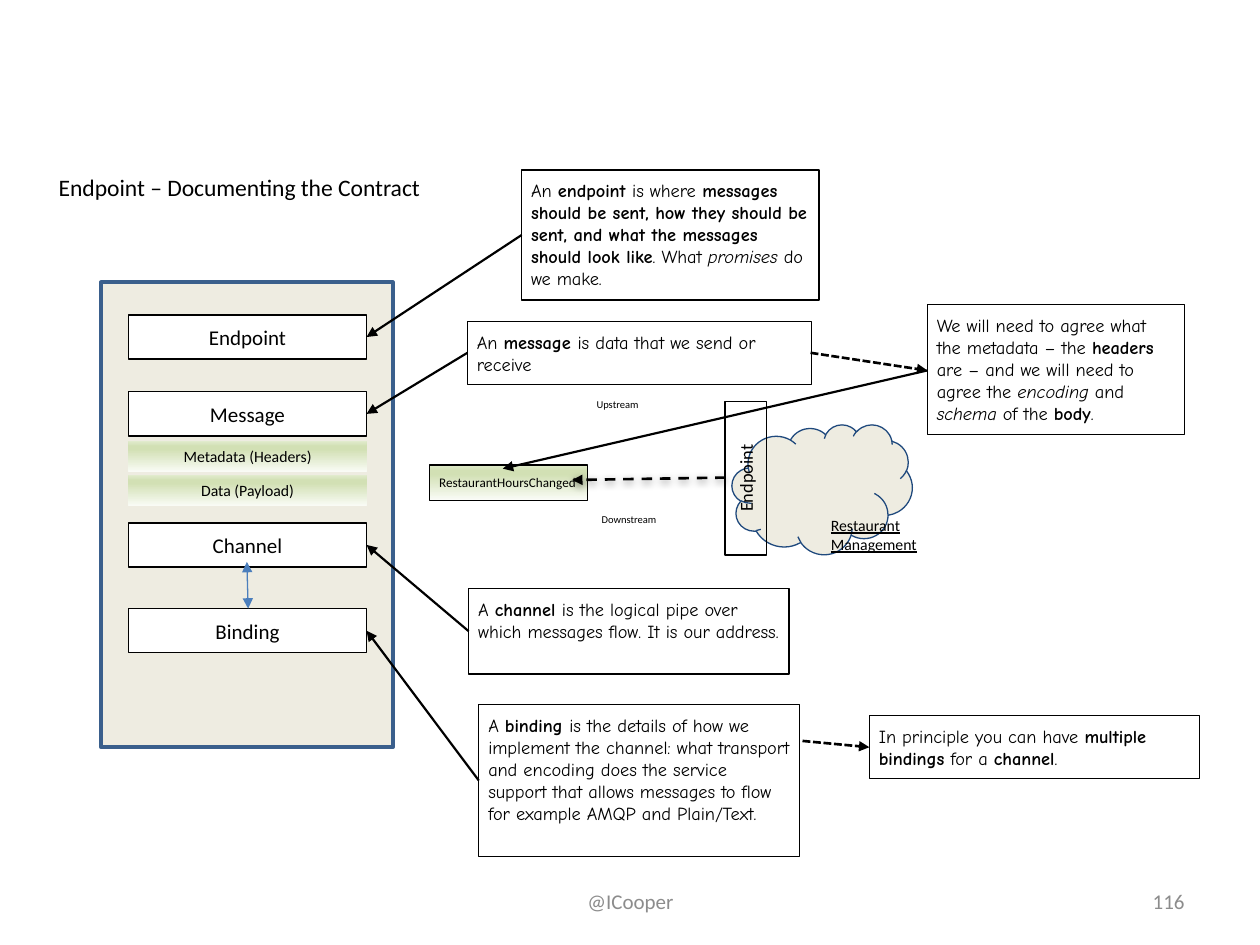
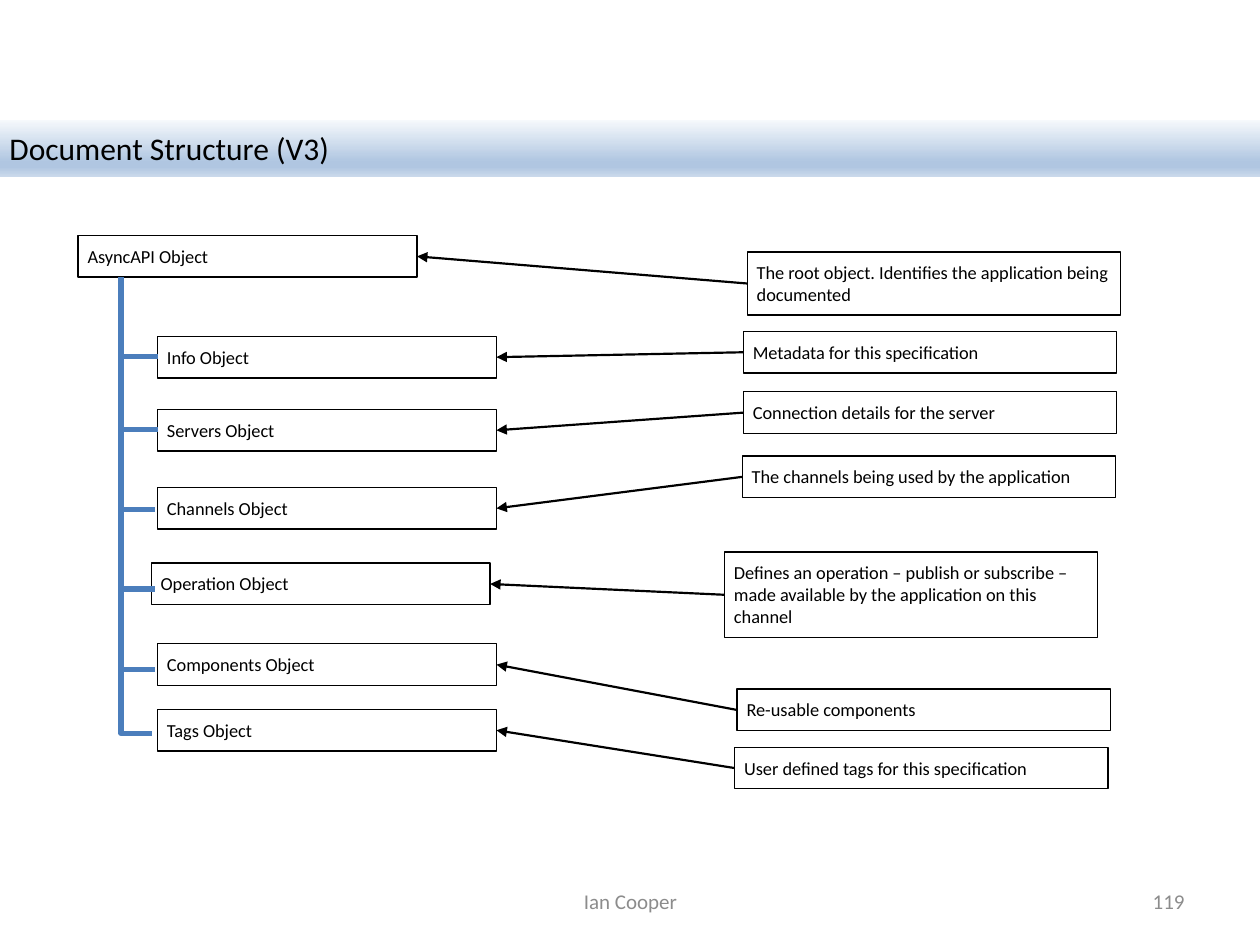
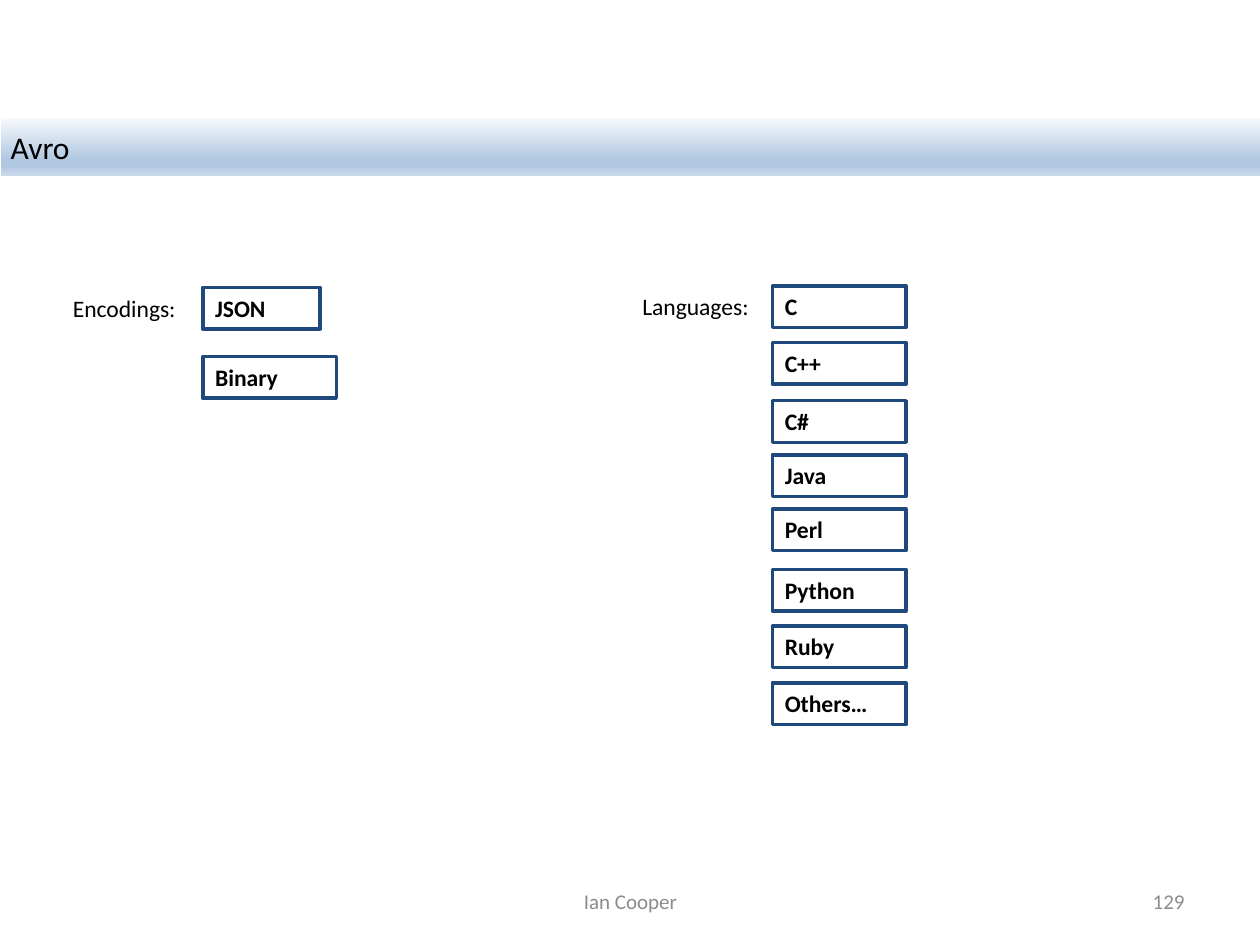
from copy import deepcopy

from pptx import Presentation
from pptx.dml.color import RGBColor
from pptx.enum.dml import MSO_LINE
from pptx.enum.shapes import MSO_CONNECTOR, MSO_SHAPE
from pptx.enum.text import MSO_ANCHOR, PP_ALIGN
from pptx.oxml import parse_xml
from pptx.oxml.ns import nsdecls, qn
from pptx.oxml.xmlchemy import OxmlElement
from pptx.util import Pt

BLACK = RGBColor(0x00, 0x00, 0x00)
WHITE = RGBColor(0xFF, 0xFF, 0xFF)
GREY = RGBColor(0x8C, 0x8C, 0x8C)
NAVY = RGBColor(0x1F, 0x49, 0x7D)
PANEL_LINE = RGBColor(0x3A, 0x5F, 0x8C)
BLUE = RGBColor(0x4B, 0x7E, 0xBC)
BEIGE = RGBColor(0xEE, 0xEC, 0xE1)
GREEN_STOPS = [
    (0, RGBColor(0xFA, 0xFC, 0xF7)),
    (0.74, RGBColor(0xD2, 0xE0, 0xB4)),
    (0.83, RGBColor(0xD2, 0xE0, 0xB4)),
    (1, RGBColor(0xE1, 0xEB, 0xCD)),
]
BLUE_STOPS = [
    (0, RGBColor(0xF6, 0xF9, 0xFC)),
    (0.74, RGBColor(0xB0, 0xC6, 0xE1)),
    (0.83, RGBColor(0xB0, 0xC6, 0xE1)),
    (1, RGBColor(0xCA, 0xD9, 0xEB)),
]
UPWARD, DOWNWARD = 90, 270

BODY_FONT = "Calibri"
NOTE_FONT = "Comic Neue"
TIGHT = (5.4, 5.4)
NORMAL = (7.2, 3.6)
THIN = (BLACK, 0.75)

LAYER_LEFT, LAYER_WIDTH, LAYER_HEIGHT = 73.4, 136.1, 25.2
LAYERS = [
    ("Endpoint", 180, (298.1, 97.2, 169.9, 74.2), [
        ("An ", ""), ("endpoint ", "b"), ("is where", ""),
        (" messages should be sent, how they should be sent, "
         "and what the messages should look like", "b"),
        (". What ", ""), ("promises", "i"), (" do we make.", "")]),
    ("Message", 223.9, (267.1, 183.6, 196.6, 36), [
        ("An ", ""), ("message ", "b"), ("is data that we send or receive", "")]),
    ("Channel", 298.8, (267.8, 336.2, 183.1, 49), [
        ("A ", ""), ("channel ", "b"),
        ("is the logical pipe over which messages flow. It is our address.", "")]),
    ("Binding", 347.8, (273.6, 402.5, 183.1, 87.1), [
        ("A ", ""), ("binding ", "b"),
        ("is the details of how we implement the channel: what transport and "
         "encoding does the service support that allows messages to flow for "
         "example AMQP and Plain/Text.", "")]),
]
MESSAGE_PARTS = [("Metadata (Headers)", 252), ("Data (Payload)", 271.4)]
SIDE_NOTES = [
    ((496.8, 409, 188.6, 36), [
        ("In principle you can have ", ""), ("multiple bindings", "b"),
        (" for a ", ""), ("channel", "b"), (".", "")]),
    ((529.9, 174.2, 146.9, 74.2), [
        ("We will need to agree what the metadata – the ", ""), ("headers", "b"),
        (" are – and we will need to agree the ", ""), ("encoding", "i"),
        (" and ", ""), ("schema", "i"), (" of the ", ""), ("body", "b"), (".", "")]),
]
STREAM_LABELS = [
    ("Upstream", (335.5, 223.9, 38.9, 18)),
    ("Downstream", (338.4, 289.4, 44.6, 18)),
]
SIDE_ARROWS = [
    ((529.9, 211.7), (287.3, 267.8), 1.25, None),
    ((463.2, 201.6), (529.9, 211.7), 1.5, MSO_LINE.SQUARE_DOT),
    ((458.6, 423.4), (496.8, 427), 1.5, MSO_LINE.SQUARE_DOT),
]

OBJECT_WIDTH, DESCRIPTION_WIDTH, ROW_HEIGHT = 193.7, 213.3, 23.8
OBJECTS = [
    ("AsyncAPI Object", 44.6, 134.6, 427, 144, 36,
     "The root object. Identifies the application being documented"),
    ("Info Object", 90, 192.2, 424.8, 189.4, ROW_HEIGHT,
     "Metadata for this specification"),
    ("Servers Object", 90, 234, 424.8, 223.9, ROW_HEIGHT,
     "Connection details for the server"),
    ("Channels Object", 90, 278.6, 424.1, 260.6, ROW_HEIGHT,
     "The channels being used by the application"),
    ("Operation Object", 86.4, 321.8, 414, 315.4, 49,
     "Defines an operation – publish or subscribe – made available by the "
     "application on this channel"),
    ("Components Object", 90, 367.9, 421.2, 393.8, ROW_HEIGHT, "Re-usable components"),
    ("Tags Object", 90, 405.4, 419.8, 427, ROW_HEIGHT,
     "User defined tags for this specification"),
]
TRUNK = (69.1, 158.4)
BRANCH_ENDS = [(90, 203.8), (90, 245.5), (88.6, 291), (88.6, 336.6), (88.6, 382.5), (87.1, 419)]

AVRO_LISTS = [
    ("Encodings:", (34.6, 164.2, 74.2), 115.9,
     [("JSON", 164.2, 67), ("Binary", 203.8, 76.3)]),
    ("Languages:", (360, 163.4, 76.3), 441.4,
     [("C", 163.4, 76.3), ("C++", 195.8, 76.3), ("C#", 229, 76.3), ("Java", 259.9, 76.3),
      ("Perl", 290.9, 76.3), ("Python", 325.4, 76.3), ("Ruby", 357.8, 76.3),
      ("Others…", 390.2, 76.3)]),
]


def write(shape, content, size, font=BODY_FONT, color=BLACK, align=PP_ALIGN.LEFT,
          inset=TIGHT, anchor=MSO_ANCHOR.TOP, wrap=True):
    frame = shape.text_frame
    frame.word_wrap = wrap
    frame.vertical_anchor = anchor
    frame.margin_left = frame.margin_right = Pt(inset[0])
    frame.margin_top = frame.margin_bottom = Pt(inset[1])
    paragraph = frame.paragraphs[0]
    paragraph.alignment = align
    for text, style in [(content, "")] if isinstance(content, str) else content:
        run = paragraph.add_run()
        run.text = text
        run.font.name = font
        run.font.size = Pt(size)
        run.font.color.rgb = color
        run.font.bold = "b" in style
        run.font.italic = "i" in style
        run.font.underline = "u" in style


def add_label(slide, box, content, size, **options):
    write(slide.shapes.add_textbox(*map(Pt, box)), content, size, **options)


def add_box(slide, box, fill=None, line=None, kind=MSO_SHAPE.RECTANGLE):
    shape = slide.shapes.add_shape(kind, *map(Pt, box))
    shape.shadow.inherit = False
    if fill is None:
        shape.fill.background()
    else:
        shape.fill.solid()
        shape.fill.fore_color.rgb = fill
    if line is None:
        shape.line.fill.background()
    else:
        shape.line.color.rgb = line[0]
        shape.line.width = Pt(line[1])
    return shape


def add_gradient_box(slide, box, stops, angle, line=None):
    shape = add_box(slide, box, line=line)
    shape.fill.gradient()
    shape.fill.gradient_angle = angle
    stop_list = shape._element.spPr.find(".//" + qn("a:gsLst"))
    while len(stop_list) < len(stops):
        stop_list.append(deepcopy(stop_list[0]))
    for stop, (position, color) in zip(shape.fill.gradient_stops, stops):
        stop.position = position
        stop.color.rgb = color
    return shape


def add_line(slide, start, end, color=BLACK, width=1.25, dash=None,
             arrows=("tailEnd",), kind=MSO_CONNECTOR.STRAIGHT):
    connector = slide.shapes.add_connector(kind, *map(Pt, start + end))
    connector.line.color.rgb = color
    connector.line.width = Pt(width)
    if dash is not None:
        connector.line.dash_style = dash
    for name in arrows:
        arrow = OxmlElement("a:" + name)
        arrow.set("type", "triangle")
        connector.line._get_or_add_ln().append(arrow)
    connector._element.spPr.append(OxmlElement("a:effectLst"))
    return connector


def add_shadow(connector):
    connector._element.spPr.find(qn("a:effectLst")).append(parse_xml(
        f'<a:outerShdw {nsdecls("a")} blurRad="{Pt(4.5)}" dist="{Pt(1.5)}" dir="5400000" '
        'rotWithShape="0"><a:srgbClr val="000000"><a:alpha val="50000"/></a:srgbClr>'
        '</a:outerShdw>'))


def add_branch(slide, start, end):
    connector = add_line(slide, start, end, BLUE, 3, arrows=(), kind=MSO_CONNECTOR.ELBOW)
    across, down = end[0] - start[0], end[1] - start[1]
    connector.left = Pt((start[0] + end[0] - down) / 2)
    connector.top = Pt((start[1] + end[1] - across) / 2)
    connector.width, connector.height = Pt(down), Pt(across)
    properties = connector._element.spPr
    transform = properties.find(qn("a:xfrm"))
    transform.set("rot", "16200000")
    transform.set("flipH", "1")
    guide = OxmlElement("a:gd")
    guide.set("name", "adj1")
    guide.set("fmla", "val 100000")
    properties.find(qn("a:prstGeom")).get_or_add_avLst().append(guide)


def add_footer(slide, author, number):
    for box, text, align in [((246.2, 500.4, 228.2, 28.8), author, PP_ALIGN.CENTER),
                             ((516.2, 500.4, 167.8, 28.8), number, PP_ALIGN.RIGHT)]:
        add_label(slide, box, text, 12, color=GREY, align=align, inset=NORMAL,
                  anchor=MSO_ANCHOR.MIDDLE)


def add_title_band(slide, title, left, top):
    band = add_gradient_box(slide, (left, top, 720 - left, 32.6), BLUE_STOPS, DOWNWARD)
    write(band, title, 18)


def build_contract(slide):
    add_box(slide, (57.6, 161.3, 167, 265.7), BEIGE, (PANEL_LINE, 2))
    add_label(slide, (28.1, 93.6, 467.3, 27.4), "Endpoint – Documenting the Contract", 13.5)
    add_box(slide, (418.3, 242.6, 103, 74.2), BEIGE, (NAVY, 0.75), MSO_SHAPE.CLOUD)
    add_label(slide, (469.4, 289.4, 70.6, 32.4), [("Restaurant Management", "u")], 9)
    event = add_gradient_box(slide, (245.5, 265.7, 90.2, 20.2), GREEN_STOPS, UPWARD, THIN)
    write(event, "RestaurantHoursChanged", 7.5)
    for text, box in STREAM_LABELS:
        add_label(slide, box, text, 6)
    add_shadow(add_line(slide, (414.7, 272.9), (326.9, 274.3), width=1.5, dash=MSO_LINE.DASH))
    port = add_box(slide, (382.3, 261.4, 87.8, 23.8), line=THIN)
    port.rotation = 270
    write(port, "Endpoint", 10.5, align=PP_ALIGN.CENTER)

    for name, top, note_box, note in LAYERS:
        layer = add_box(slide, (LAYER_LEFT, top, LAYER_WIDTH, LAYER_HEIGHT), WHITE, THIN)
        write(layer, name, 12, align=PP_ALIGN.CENTER)
        write(add_box(slide, note_box, line=THIN), note, 10.5, NOTE_FONT)
        add_line(slide, (note_box[0], note_box[1] + note_box[3] / 2),
                 (LAYER_LEFT + LAYER_WIDTH, top + LAYER_HEIGHT / 2))
    add_line(slide, (141.1, 321.1), (141.8, 347.8), BLUE, 0.75, arrows=("headEnd", "tailEnd"))
    for text, top in MESSAGE_PARTS:
        part = add_gradient_box(slide, (LAYER_LEFT, top, LAYER_WIDTH, 18), GREEN_STOPS, UPWARD)
        write(part, text, 9, align=PP_ALIGN.CENTER, inset=NORMAL)
    for box, note in SIDE_NOTES:
        write(add_box(slide, box, line=THIN), note, 10.5, NOTE_FONT)
    for start, end, width, dash in SIDE_ARROWS:
        add_line(slide, start, end, width=width, dash=dash)
    add_footer(slide, "@ICooper", "116")


def build_structure(slide):
    add_title_band(slide, "Document Structure (V3)", 0, 68.4)
    for name, left, top, note_left, note_top, note_height, note in OBJECTS:
        write(add_box(slide, (left, top, OBJECT_WIDTH, ROW_HEIGHT), line=THIN), name, 10.5)
        note_box = (note_left, note_top, DESCRIPTION_WIDTH, note_height)
        write(add_box(slide, note_box, line=THIN), note, 10.5)
        add_line(slide, (note_left, note_top + note_height / 2),
                 (left + OBJECT_WIDTH, top + ROW_HEIGHT / 2))
    for end in BRANCH_ENDS:
        add_branch(slide, TRUNK, end)
    add_footer(slide, "Ian Cooper", "119")


def build_avro(slide):
    add_footer(slide, "Ian Cooper", "129")
    add_title_band(slide, "Avro", 0.7, 67.7)
    for heading, heading_place, left, items in AVRO_LISTS:
        add_label(slide, heading_place + (ROW_HEIGHT,), heading, 13.5, inset=NORMAL, wrap=False)
        for name, top, width in items:
            item = add_box(slide, (left, top, width, ROW_HEIGHT), line=(NAVY, 2))
            write(item, [(name, "b")], 13.5, inset=NORMAL)


def main():
    presentation = Presentation()
    presentation.slide_width, presentation.slide_height = Pt(720), Pt(540)
    for build in (build_contract, build_structure, build_avro):
        build(presentation.slides.add_slide(presentation.slide_layouts[6]))
    presentation.save("out.pptx")


if __name__ == "__main__":
    main()
